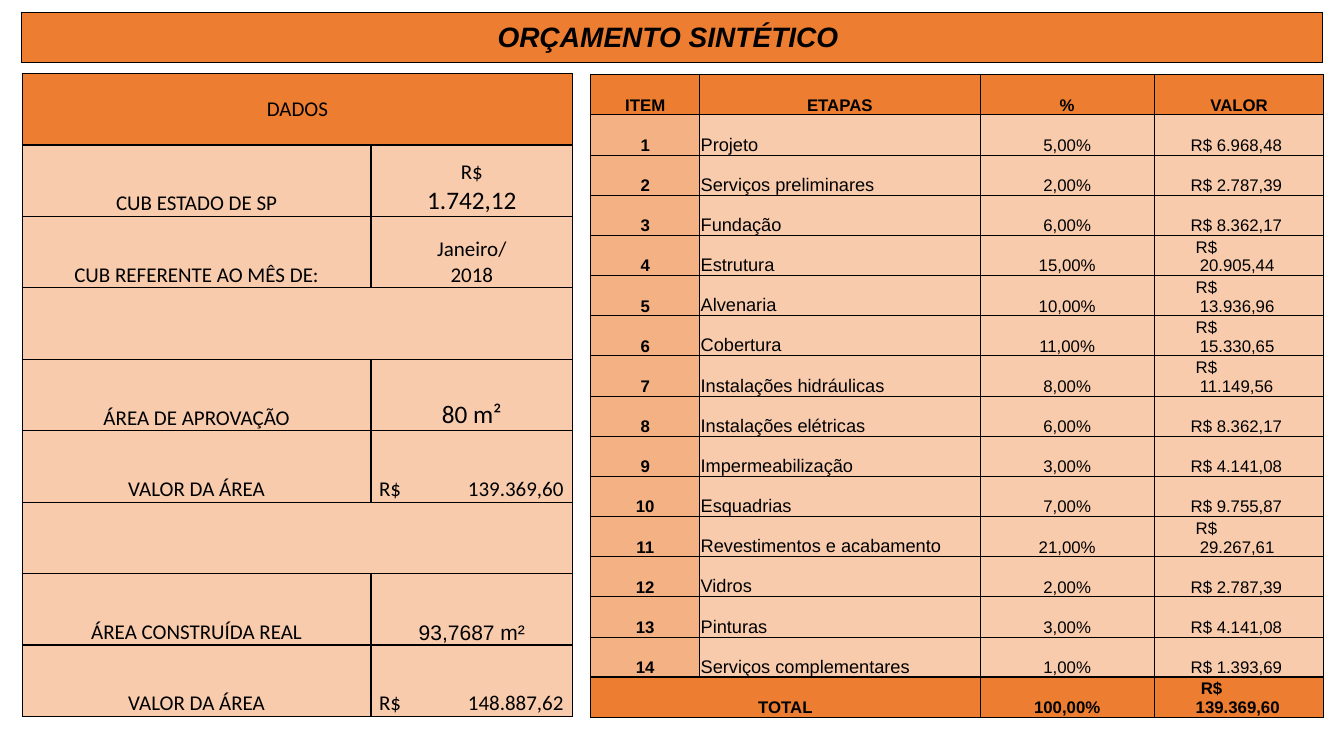
from dataclasses import dataclass

from lxml.etree import SubElement
from pptx import Presentation
from pptx.dml.color import RGBColor
from pptx.enum.text import MSO_ANCHOR, PP_ALIGN
from pptx.oxml.ns import qn
from pptx.util import Inches, Pt

BLACK = RGBColor(0x00, 0x00, 0x00)
ORANGE = RGBColor(0xED, 0x7D, 0x31)
AMBER = RGBColor(0xF4, 0xB1, 0x83)
PEACH = RGBColor(0xF8, 0xCB, 0xAD)
THIN, THICK = Pt(0.5), Pt(1)
PAD = 0.01


@dataclass
class Line:
    text: str
    size: float = 12
    font: str = "Arial"
    bold: bool = False
    italic: bool = False
    align: PP_ALIGN = PP_ALIGN.CENTER
    start: float = 0
    wrap: float = 0
    tab: float = 0


@dataclass
class Field:
    label: str
    lines: list[Line]


@dataclass
class Stage:
    name: str
    share: str
    value: str


def data(text: str, size: float = 15, font: str = "Calibri") -> Line:
    return Line(text, size, font)


def money(value: str) -> Line:
    return Line(f"R$\t{value}", 15, "Calibri", align=PP_ALIGN.LEFT, tab=1.83)


def price(value: str, bold: bool = False) -> Line:
    # Amounts wrap below the currency sign, both centred around the same middle
    extra = len(value) - 8
    return Line(f"R$ {value}", bold=bold, align=PP_ALIGN.LEFT,
                start=0.35 + 0.05 * extra, wrap=0.48 - 0.04 * extra)


FIELDS = [
    Field("CUB ESTADO DE SP", [data("R$"), data("1.742,12", 18)]),
    Field("CUB REFERENTE AO MÊS DE:", [data("Janeiro/"), data("2018")]),
    None,
    Field("ÁREA DE APROVAÇÃO", [data("80 m²", 18)]),
    Field("VALOR DA ÁREA", [money("139.369,60")]),
    None,
    Field("ÁREA CONSTRUÍDA REAL", [data("93,7687 m²", font="Arial")]),
    Field("VALOR DA ÁREA", [money("148.887,62")]),
]

STAGES = [
    Stage("Projeto", "5,00%", "6.968,48"),
    Stage("Serviços preliminares", "2,00%", "2.787,39"),
    Stage("Fundação", "6,00%", "8.362,17"),
    Stage("Estrutura", "15,00%", "20.905,44"),
    Stage("Alvenaria", "10,00%", "13.936,96"),
    Stage("Cobertura", "11,00%", "15.330,65"),
    Stage("Instalações hidráulicas", "8,00%", "11.149,56"),
    Stage("Instalações elétricas", "6,00%", "8.362,17"),
    Stage("Impermeabilização", "3,00%", "4.141,08"),
    Stage("Esquadrias", "7,00%", "9.755,87"),
    Stage("Revestimentos e acabamento", "21,00%", "29.267,61"),
    Stage("Vidros", "2,00%", "2.787,39"),
    Stage("Pinturas", "3,00%", "4.141,08"),
    Stage("Serviços complementares", "1,00%", "1.393,69"),
]


def write(frame, lines: list[Line]) -> None:
    for i, line in enumerate(lines):
        para = frame.paragraphs[0] if i == 0 else frame.add_paragraph()
        para.alignment = line.align
        props = para._p.get_or_add_pPr()
        if line.wrap:
            props.set("marL", str(Inches(line.wrap)))
            props.set("indent", str(Inches(line.start - line.wrap)))
        if line.tab:
            tabs = SubElement(props, qn("a:tabLst"))
            SubElement(tabs, qn("a:tab"), pos=str(Inches(line.tab)), algn="r")
        run = para.add_run()
        run.text = line.text
        run.font.name = line.font
        run.font.size = Pt(line.size)
        run.font.bold = line.bold
        run.font.italic = line.italic
        run.font.color.rgb = BLACK


def border(cell, left: int, right: int, top: int, bottom: int) -> None:
    props = cell._tc.get_or_add_tcPr()
    for side, width in zip("LRTB", (left, right, top, bottom)):
        edge = SubElement(props, qn(f"a:ln{side}"), w=str(width))
        fill = SubElement(edge, qn("a:solidFill"))
        SubElement(fill, qn("a:srgbClr"), val=str(BLACK))


def paint(cell, color: RGBColor, lines: list[Line], anchor=MSO_ANCHOR.BOTTOM) -> None:
    cell.fill.solid()
    cell.fill.fore_color.rgb = color
    cell.vertical_anchor = anchor
    cell.margin_left = cell.margin_right = cell.margin_top = Inches(PAD)
    cell.margin_bottom = 0
    if any(line.tab for line in lines):
        cell.margin_left = Inches(0.08)
    if any(line.wrap for line in lines):
        cell.margin_right = Inches(0.4)
    write(cell.text_frame, lines)


def grid(slide, left: float, top: float, height: float, cols: list[float], rows: int):
    frame = slide.shapes.add_table(rows, len(cols), Inches(left), Inches(top),
                                   Inches(sum(cols)), Inches(height))
    table = frame.table
    table.first_row = table.horz_banding = False
    for col, width in zip(table.columns, cols):
        col.width = Inches(width)
    for row in table.rows:
        row.height = Inches(height / rows)
    return table


def head(slide) -> None:
    cell = grid(slide, 0.21, 0.12, 0.5, [12.91], 1).cell(0, 0)
    border(cell, THICK, THICK, THICK, THICK)
    title = Line("ORÇAMENTO SINTÉTICO ", 20, bold=True, italic=True)
    paint(cell, ORANGE, [title], MSO_ANCHOR.MIDDLE)


def facts(slide) -> None:
    table = grid(slide, 0.22, 0.73, 6.38, [3.46, 2], len(FIELDS) + 1)
    for cell in table.iter_cells():
        border(cell, THICK, THICK, THICK, THICK)
    table.cell(0, 0).merge(table.cell(0, 1))
    paint(table.cell(0, 0), ORANGE, [data("DADOS")], MSO_ANCHOR.MIDDLE)
    for r, field in enumerate(FIELDS, 1):
        label, value = table.cell(r, 0), table.cell(r, 1)
        if field is None:
            label.merge(value)
            paint(label, PEACH, [])
        else:
            paint(label, PEACH, [data(field.label)])
            paint(value, PEACH, field.lines)


def costs(slide) -> None:
    last = len(STAGES) + 1
    table = grid(slide, 5.86, 0.74, 6.38, [1.08, 2.78, 1.73, 1.68], last + 1)

    # Thick frame, header, total and item column; thin lines elsewhere
    for r in range(last + 1):
        body = 0 < r < last
        for c in range(4):
            thick = (c == 0 or (c == 1 and body), c == 3 or (c == 0 and body),
                     r in (0, 1, last), r in (0, last - 1, last))
            border(table.cell(r, c), *(THICK if on else THIN for on in thick))

    for c, name in enumerate(("ITEM", "ETAPAS", "%", "VALOR")):
        paint(table.cell(0, c), ORANGE, [Line(name, bold=True)])
    for r, stage in enumerate(STAGES, 1):
        paint(table.cell(r, 0), AMBER, [Line(str(r), bold=True)])
        paint(table.cell(r, 1), PEACH, [Line(stage.name, 13, align=PP_ALIGN.LEFT)])
        paint(table.cell(r, 2), PEACH, [Line(stage.share)])
        paint(table.cell(r, 3), PEACH, [price(stage.value)])

    table.cell(last, 0).merge(table.cell(last, 1))
    paint(table.cell(last, 0), ORANGE, [Line("TOTAL", bold=True)])
    paint(table.cell(last, 2), ORANGE, [Line("100,00%", bold=True)])
    paint(table.cell(last, 3), ORANGE, [price("139.369,60", True)])


def main() -> None:
    deck = Presentation()
    deck.slide_width, deck.slide_height = Inches(13.33), Inches(7.5)
    slide = deck.slides.add_slide(deck.slide_layouts[6])
    head(slide)
    facts(slide)
    costs(slide)
    deck.save("out.pptx")


if __name__ == "__main__":
    main()
